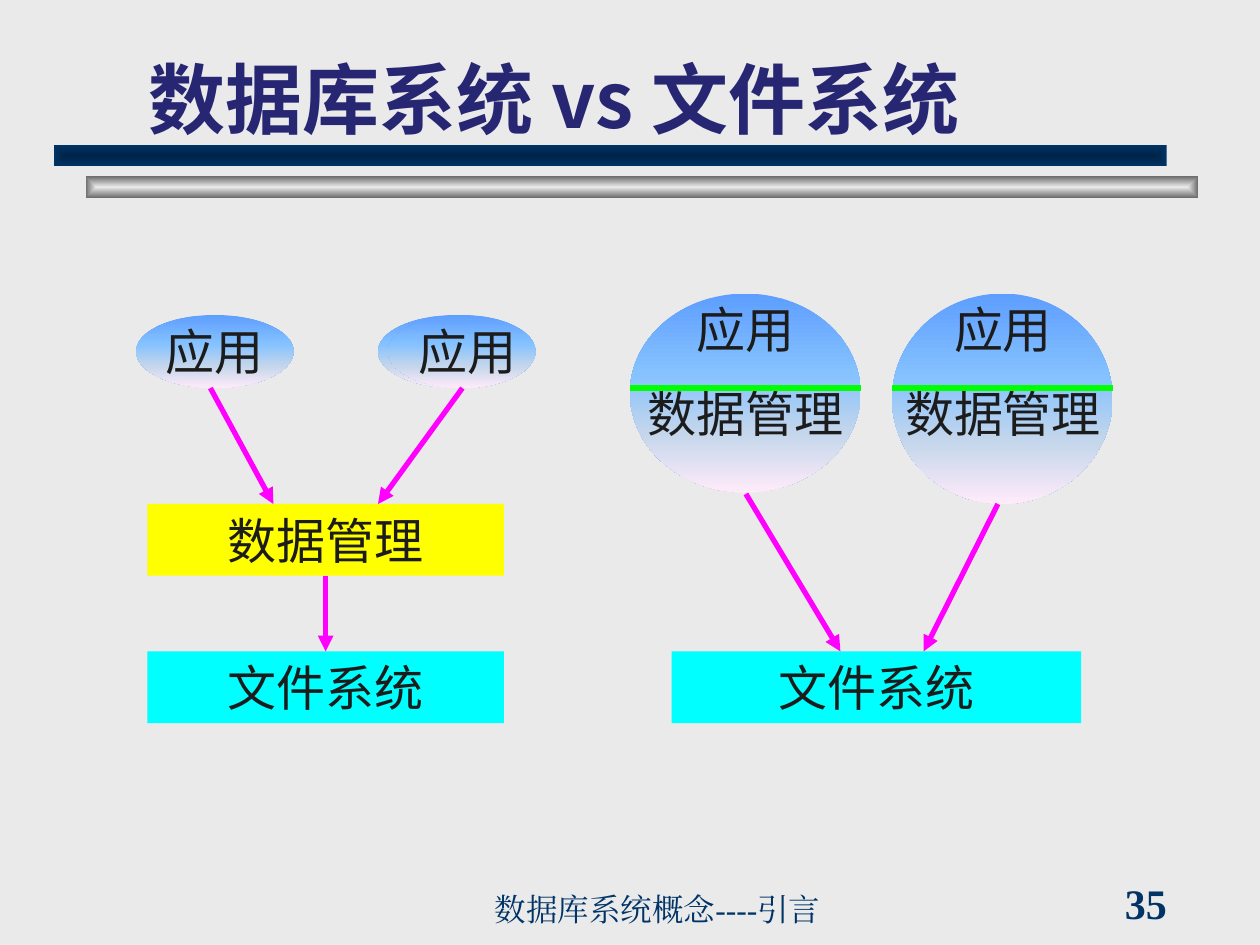
from dataclasses import dataclass

from lxml import etree
from pptx import Presentation, oxml
from pptx import util as u
from pptx.dml.color import RGBColor
from pptx.enum import shapes, text
from pptx.oxml import ns


@dataclass(frozen=True)
class Theme:
    background: str = "EAEAEA"
    navy: str = "003366"
    title: str = "262673"
    ink: str = "1C1C1C"
    cyan: str = "00FFFF"
    yellow: str = "FFFF00"
    arrow: str = "FF00FF"
    divider: str = "00FF00"
    gray_bar: tuple = ((0, "EAEAEA"), (100, "6C6C6C"))
    navy_bar: tuple = ((0, "002449"), (100, "003366"))
    sky: tuple = ((0, "5E9EFF"), (40, "85C2FF"), (70, "C4D6EB"), (100, "FFEBFA"))
    title_size: int = 44
    body_size: int = 28
    number_size: int = 24
    footer_size: int = 18
    title_font: str = "Noto Sans CJK SC"
    body_font: str = "Montserrat"
    footer_font: str = "Times New Roman"


theme = Theme()
FROM_CENTER = '<a:path path="rect"><a:fillToRect l="50000" t="50000" r="50000" b="50000"/></a:path>'
DOWNWARD = '<a:lin ang="5400000" scaled="0"/>'

presentation = Presentation()
presentation.slide_width = u.Inches(10)
presentation.slide_height = u.Inches(7.5)
slide = presentation.slides.add_slide(presentation.slide_layouts[6])
slide.background.fill.solid()
slide.background.fill.fore_color.rgb = RGBColor.from_string(theme.background)


def add_block(kind, box, fill):
    """Add a borderless shape; fill is a colour, (stops, direction) or None."""
    left, top, width, height = map(u.Inches, box)
    if kind is None:
        shape = slide.shapes.add_textbox(left, top, width, height)
    else:
        shape = slide.shapes.add_shape(kind, left, top, width, height)
        shape.shadow.inherit = False
        shape.line.fill.background()
    if isinstance(fill, str):
        shape.fill.solid()
        shape.fill.fore_color.rgb = RGBColor.from_string(fill)
    elif fill:
        stops, direction = fill
        shape.fill.gradient()
        old = shape._element.spPr.find(ns.qn("a:gradFill"))
        stop_xml = "".join(
            f'<a:gs pos="{position * 1000}"><a:srgbClr val="{color}"/></a:gs>'
            for position, color in stops)
        new = oxml.parse_xml(
            f'<a:gradFill {ns.nsdecls("a")} rotWithShape="1">'
            f'<a:gsLst>{stop_xml}</a:gsLst>{direction}</a:gradFill>')
        old.getparent().replace(old, new)
    return shape


def write(shape, lines, size=theme.body_size, font=theme.body_font, color=theme.ink,
          bold=False, align=text.PP_ALIGN.CENTER, anchor=text.MSO_ANCHOR.TOP):
    frame = shape.text_frame
    frame.word_wrap = True
    frame.vertical_anchor = anchor
    for index, line in enumerate(lines):
        paragraph = frame.add_paragraph() if index else frame.paragraphs[0]
        paragraph.alignment = align
        paragraph.space_before = u.Pt(size / 2 if index else 0)
        run = paragraph.add_run()
        run.text = line
        run.font.size = u.Pt(size)
        run.font.name = font
        run.font.bold = bold
        run.font.color.rgb = RGBColor.from_string(color)
        east_asian = etree.SubElement(run.font._element, ns.qn("a:ea"))
        east_asian.set("typeface", font)


RECTANGLE = shapes.MSO_SHAPE.RECTANGLE
OVAL = shapes.MSO_SHAPE.OVAL
LEFT = text.PP_ALIGN.LEFT
BOTTOM = text.MSO_ANCHOR.BOTTOM

# Header bars
add_block(RECTANGLE, (0.68, 1.4, 8.83, 0.17), (theme.gray_bar, FROM_CENTER))
add_block(RECTANGLE, (0.43, 1.15, 8.83, 0.17), (theme.navy_bar, FROM_CENTER))

# Page number, footer and title
write(add_block(None, (8.83, 7, 1.08, 0.33), None), ["35"], theme.number_size,
      theme.footer_font, theme.navy, True, LEFT, text.MSO_ANCHOR.MIDDLE)
write(add_block(None, (3.83, 7.08, 4.08, 0.33), None), ["数据库系统概念----引言"],
      theme.footer_size, theme.footer_font, theme.navy, False, LEFT, BOTTOM)
write(add_block(None, (1.08, 0.33, 8.52, 0.86), None), ["数据库系统 vs 文件系统"],
      theme.title_size, theme.title_font, theme.title, True, LEFT, BOTTOM)

# Layer boxes: database side, then file side
boxes = []
for left, top, width, color, label in [
        (1.17, 4, 2.83, theme.yellow, "数据管理"),
        (1.17, 5.17, 2.83, theme.cyan, "文件系统"),
        (5.33, 5.17, 3.25, theme.cyan, "文件系统")]:
    box = add_block(RECTANGLE, (left, top, width, 0.57), color)
    write(box, [label])
    boxes.append(box)
management, files, _ = boxes

# Application ovals
for oval in [(1.08, 2.5, 1.25, 0.58), (3, 2.5, 1.25, 0.58), (3.08, 2.5, 1.17, 0.58),
             (5, 2.33, 1.83, 1.58), (7.08, 2.33, 1.75, 1.67)]:
    add_block(OVAL, oval, (theme.sky, DOWNWARD))

# Oval labels
for box, lines in [((1.08, 2.5, 1.25, 0.57), ["应用"]),
                   ((3.17, 2.5, 1.08, 0.57), ["应用"]),
                   ((5, 2.33, 1.83, 1.27), ["应用", "数据管理"]),
                   ((7, 2.33, 1.92, 1.27), ["应用", "数据管理"])]:
    write(add_block(None, box, None), lines)

# Arrows between layers and dividers across the large ovals
for start, end, color in [
        ((1.67, 3.08), (2.17, 4), theme.arrow),
        ((3.67, 3.08), (3, 4), theme.arrow),
        ((2.58, 4.58), (2.58, 5.17), theme.arrow),
        ((5.92, 3.92), (6.67, 5.17), theme.arrow),
        ((7.92, 4), (7.33, 5.17), theme.arrow),
        ((5, 3.08), (6.83, 3.08), theme.divider),
        ((7.08, 3.08), (8.83, 3.08), theme.divider)]:
    connector = slide.shapes.add_connector(
        shapes.MSO_CONNECTOR.STRAIGHT, *map(u.Inches, start + end))
    connector.line.width = u.Pt(3)
    connector.line.color.rgb = RGBColor.from_string(color)
    if color == theme.arrow:
        tail = etree.SubElement(connector.line._get_or_add_ln(), ns.qn("a:tailEnd"))
        tail.set("type", "triangle")
    etree.SubElement(connector._element.spPr, ns.qn("a:effectLst"))
    if start[0] == end[0]:
        connector.begin_connect(management, 2)
        connector.end_connect(files, 0)

presentation.save("out.pptx")
